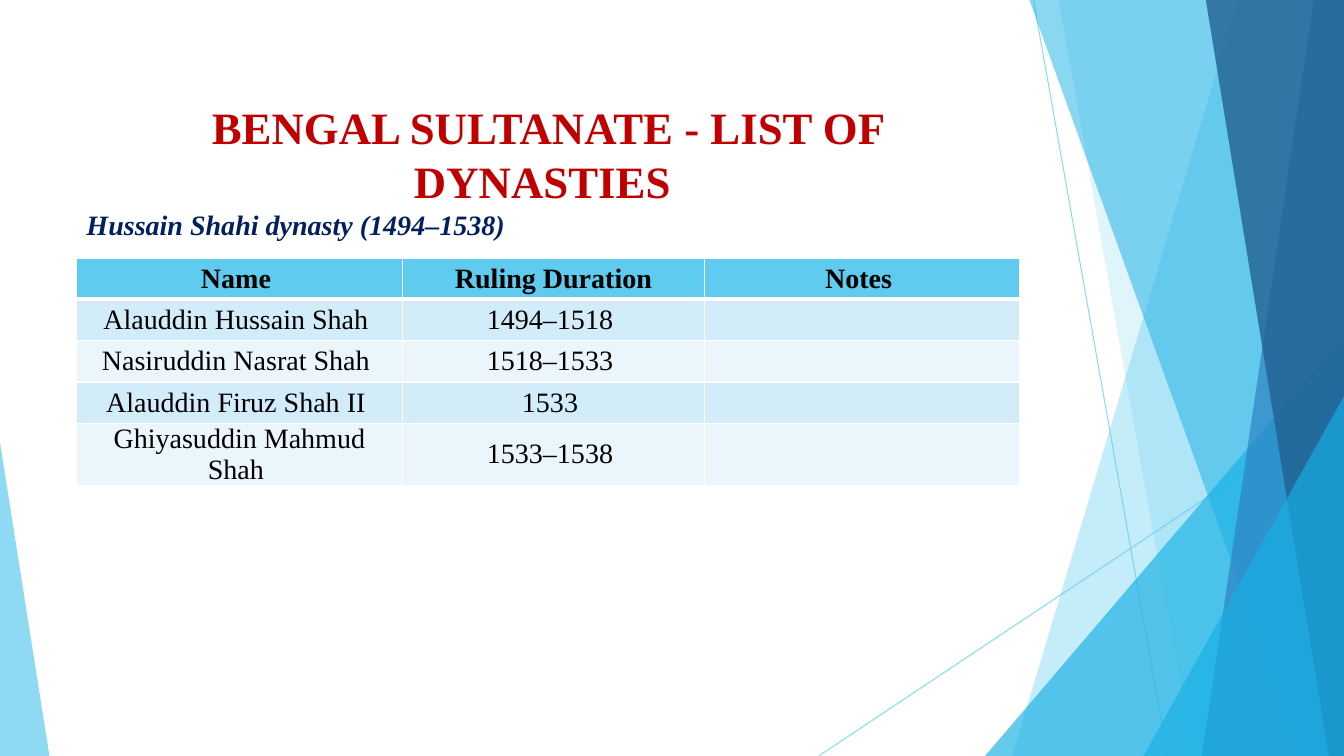
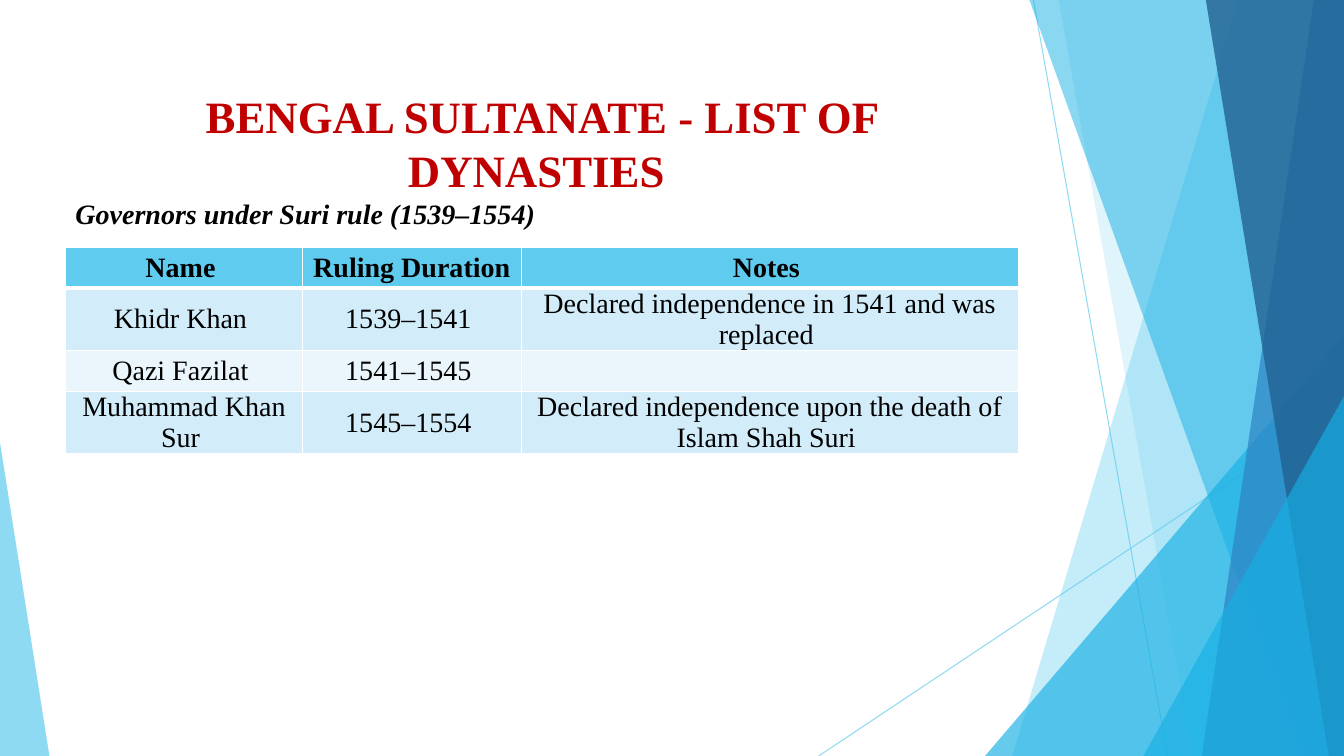
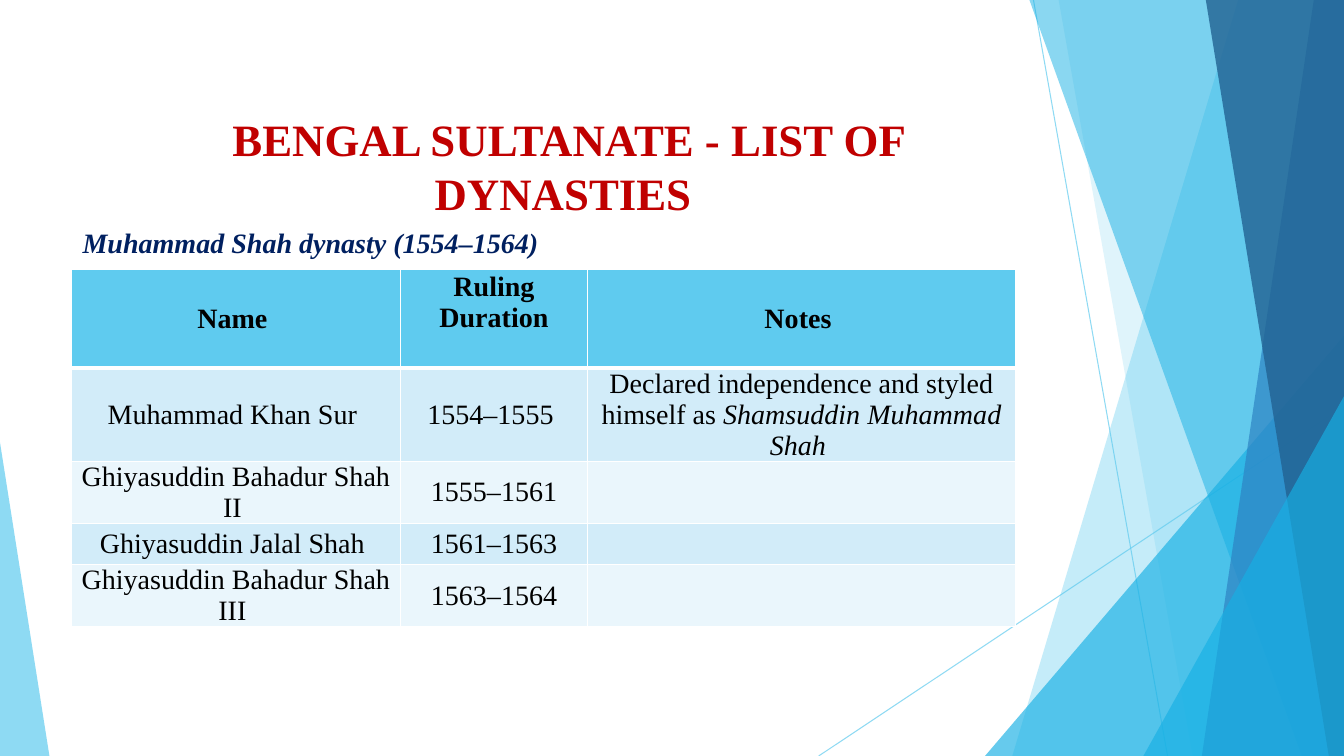
import pptx
import pptx.util
import pptx.dml.color
import pptx.enum.shapes
import pptx.enum.text
import pptx.oxml
import pptx.oxml.ns

Inches = pptx.util.Inches
Pt = pptx.util.Pt
ALIGN = pptx.enum.text.PP_ALIGN
ANCHOR = pptx.enum.text.MSO_ANCHOR
FIT = pptx.enum.text.MSO_AUTO_SIZE
qn = pptx.oxml.ns.qn

W, H = 13.33, 7.5
FONT = "Times New Roman"
SKY, CYAN, BLUE, NAVY = "5FCBEF", "17B0E4", "2E83C3", "226292"
BANDS = ["D2ECF9", "EAF6FC"]
WHITE, BLACK, RED, INK = "FFFFFF", "000000", "C00000", "002060"
TITLE = "BENGAL SULTANATE - LIST OF DYNASTIES "
ROW_HEIGHT = 0.41


def rgb(value):
    return pptx.dml.color.RGBColor.from_string(value)


def box(*lengths):
    return [Inches(n) for n in lengths]


def set_font(p, size, color, bold=False, italic=False):
    p.font.name = FONT
    p.font.size = Pt(size)
    p.font.bold = bold
    p.font.italic = italic
    p.font.color.rgb = rgb(color)


def set_alpha(sp, percent):
    for clr in sp._element.spPr.iter(qn("a:srgbClr")):
        alpha = pptx.oxml.parse_xml(
            f'<a:alpha {pptx.oxml.ns.nsdecls("a")} val="{percent * 1000}"/>')
        clr.append(alpha)


def paint(sp, color, alpha):
    sp.shadow.inherit = False
    sp.fill.solid()
    sp.fill.fore_color.rgb = rgb(color)
    sp.line.fill.background()
    set_alpha(sp, alpha)


def add_ray(shapes, x1, y1, x2, y2):
    line = shapes.add_connector(
        pptx.enum.shapes.MSO_CONNECTOR.STRAIGHT, *box(x1, y1, x2, y2))
    line.line.width = Pt(0.75)
    line.line.color.rgb = rgb(SKY)
    set_alpha(line, 70)
    spPr = line._element.spPr
    spPr.append(spPr.makeelement(qn("a:effectLst"), {}))


def add_facet(shapes, top_x, bottom_x, color, alpha):
    builder = shapes.build_freeform(Inches(top_x), 0)
    corners = [(W, 0), (W, H), (bottom_x, H)]
    builder.add_line_segments([box(x, y) for x, y in corners])
    paint(builder.convert_to_shape(), color, alpha)


def add_triangle(shapes, left, top, width, apex, color, alpha):
    sp = shapes.add_shape(
        pptx.enum.shapes.MSO_SHAPE.ISOSCELES_TRIANGLE,
        *box(left, top, width, H - top))
    sp.adjustments[0] = apex
    paint(sp, color, alpha)


def add_backdrop(slide):
    group = slide.shapes.add_group_shape()
    shapes = group.shapes
    add_ray(shapes, 10.25, 0, 11.58, H)
    add_ray(shapes, W, 4.03, 8.12, H)
    add_facet(shapes, 12.28, 10.04, SKY, 36)
    add_facet(shapes, 10.5, 11.83, SKY, 20)
    add_triangle(shapes, 9.77, 3.33, 3.56, 1, CYAN, 66)
    add_facet(shapes, 10.21, 12.91, CYAN, 50)
    add_facet(shapes, 13.03, 11.92, BLUE, 70)
    add_facet(shapes, 11.96, 13.18, NAVY, 80)
    add_triangle(shapes, 11.34, 3.93, 1.99, 1, CYAN, 66)
    add_triangle(shapes, 0, 4.39, 0.49, 0, SKY, 70)
    tree = slide.slide_layout.shapes.element
    tree.insert(2, group._element)
    for number, item in enumerate(tree.iter(qn("p:cNvPr")), 1):
        item.set("id", str(number))


def set_title(slide, place):
    sp = slide.shapes.title
    sp.left, sp.top, sp.width, sp.height = box(*place)
    tf = sp.text_frame
    tf.text = TITLE
    tf.word_wrap = True
    tf.auto_size = FIT.NONE
    tf.vertical_anchor = ANCHOR.TOP
    p = tf.paragraphs[0]
    p.alignment = ALIGN.CENTER
    set_font(p, 32, RED, bold=True)


def add_subtitle(slide, left, top, width, text, color):
    tf = slide.shapes.add_textbox(*box(left, top, width, 0.44)).text_frame
    tf.word_wrap = True
    tf.auto_size = FIT.SHAPE_TO_FIT_TEXT
    p = tf.paragraphs[0]
    p.text = text
    p.alignment = ALIGN.JUSTIFY
    set_font(p, 20, color, bold=True, italic=True)


def set_borders(cell, top, bottom):
    tcPr = cell._tc.get_or_add_tcPr()
    widths = {"lnL": 1, "lnR": 1, "lnT": top, "lnB": bottom}
    for i, (side, width) in enumerate(widths.items()):
        tcPr.insert(i, pptx.oxml.parse_xml(
            f'<a:{side} {pptx.oxml.ns.nsdecls("a")} w="{Pt(width)}">'
            f'<a:solidFill><a:srgbClr val="{WHITE}"/></a:solidFill></a:{side}>'))


def fill_cell(cell, row, text):
    header = row == 0
    cell.fill.solid()
    cell.fill.fore_color.rgb = rgb(SKY if header else BANDS[(row - 1) % 2])
    set_borders(cell, 3 if row == 1 else 1, 3 if header else 1)
    cell.vertical_anchor = ANCHOR.MIDDLE
    cell.margin_left = cell.margin_right = Inches(0.07)
    cell.margin_top = cell.margin_bottom = 0
    p = cell.text_frame.paragraphs[0]
    p.alignment = ALIGN.CENTER
    set_font(p, 20, BLACK, bold=header)
    plain, *styled = [text] if isinstance(text, str) else text
    if plain:
        p.add_run().text = plain
    for part in styled:
        r = p.add_run()
        r.text = part
        r.font.italic = True


def add_rulers(slide, left, top, widths, rows, header_height=ROW_HEIGHT):
    rows = [("Name ", "Ruling Duration", "Notes "), *rows]
    heights = [header_height] + [ROW_HEIGHT] * (len(rows) - 1)
    table = slide.shapes.add_table(
        len(rows), len(widths),
        *box(left, top, sum(widths), sum(heights))).table
    table.first_row = table.horz_banding = False
    for column, width in zip(table.columns, widths):
        column.width = Inches(width)
    for i, texts in enumerate(rows):
        table.rows[i].height = Inches(heights[i])
        for j, text in enumerate(texts):
            fill_cell(table.cell(i, j), i, text)
    return table


def main():
    prs = pptx.Presentation()
    prs.slide_width, prs.slide_height = box(W, H)
    layout = prs.slide_layouts[5]

    hussain = prs.slides.add_slide(layout)
    add_backdrop(hussain)
    set_title(hussain, (0.76, 0.94, 9.35, 1.07))
    add_rulers(hussain, 0.76, 2.56, [3.23, 3, 3.12], [
        ("Alauddin Hussain Shah ", "1494–1518 ", ""),
        ("Nasiruddin Nasrat Shah ", "1518–1533 ", ""),
        ("Alauddin Firuz Shah II ", "1533 ", ""),
        ("Ghiyasuddin Mahmud Shah ", "1533–1538 ", ""),
    ])
    add_subtitle(hussain, 0.76, 2.01, 5.24,
                 "Hussain Shahi dynasty (1494–1538) ", INK)

    suri = prs.slides.add_slide(layout)
    set_title(suri, (0.65, 0.83, 9.45, 1.07))
    add_rulers(suri, 0.65, 2.45, [2.35, 2.17, 4.93], [
        ("Khidr Khan ", "1539–1541 ",
         "Declared independence in 1541 and was replaced "),
        ("Qazi Fazilat ", "1541–1545 ", ""),
        ("Muhammad Khan Sur ", "1545–1554 ",
         "Declared independence upon the death of Islam Shah Suri "),
    ])
    add_subtitle(suri, 0.65, 1.9, 5.14,
                 "Governors under Suri rule (1539–1554) ", BLACK)

    muhammad = prs.slides.add_slide(layout)
    set_title(muhammad, (1.2, 1.06, 8.88, 1.09))
    table = add_rulers(muhammad, 0.71, 2.67, [3.26, 1.86, 4.24], [
        ("Muhammad Khan Sur ", "1554–1555 ",
         ("Declared independence and styled himself as ",
          "Shamsuddin Muhammad Shah ")),
        ("Ghiyasuddin Bahadur Shah II ", "1555–1561", ""),
        ("Ghiyasuddin Jalal Shah ", "1561–1563", ""),
        ("Ghiyasuddin Bahadur Shah III ", "1563–1564", ""),
    ], header_height=0.98)
    table.cell(0, 1).margin_bottom = Inches(0.31)
    add_subtitle(muhammad, 0.72, 2.19, 4.91,
                 "Muhammad Shah dynasty (1554–1564) ", INK)

    prs.save("out.pptx")


if __name__ == "__main__":
    main()
